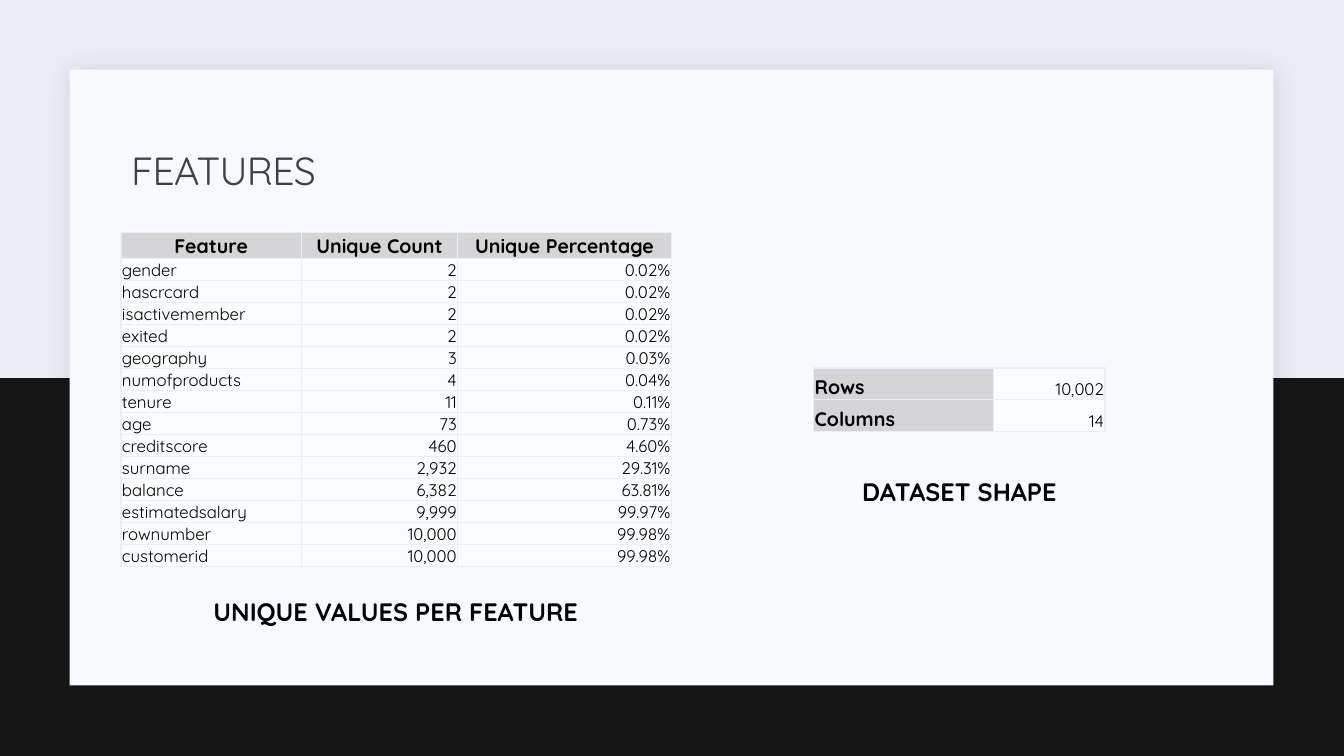
"""Build the FEATURES slide with two dataset summary tables."""
from dataclasses import dataclass

import lxml.etree
import pptx
import pptx.dml.color
import pptx.enum.shapes
import pptx.enum.text
import pptx.oxml
import pptx.oxml.ns
import pptx.util

Inches = pptx.util.Inches
Pt = pptx.util.Pt
Align = pptx.enum.text.PP_ALIGN
Anchor = pptx.enum.text.MSO_ANCHOR

FONT = "Quicksand"
COLOURS = {
    "backdrop": "ECEEF7",
    "band": "141514",
    "card": "F6F9FF",
    "shadow": "1F2125",
    "title": "404040",
    "text": "000000",
    "heading": "D5D5D7",
    "cell": "FBFCFD",
    "border": "ECEEF7",
}


@dataclass(frozen=True)
class Box:
    """Position and size in inches."""

    left: float
    top: float
    width: float
    height: float

    def lengths(self) -> list[int]:
        """Return the four lengths in slide units."""
        return [Inches(n) for n in (self.left, self.top, self.width, self.height)]


@dataclass(frozen=True)
class Panel:
    """A plain rectangle behind the content."""

    box: Box
    colour: str
    shadowed: bool = False


@dataclass(frozen=True)
class Label:
    """Text of one placeholder."""

    index: int
    box: Box
    text: str
    size: float
    colour: str
    align: Align
    bold: bool = False


@dataclass(frozen=True)
class Grid:
    """A table whose headings fill its first row or its first column."""

    box: Box
    widths: tuple[float, ...]
    rows: tuple[tuple[str, ...], ...]
    anchor: Anchor
    header_row: bool


PANELS = (
    Panel(Box(0, 3.75, 13.33, 3.75), "band"),
    Panel(Box(0.69, 0.69, 11.94, 6.11), "card", shadowed=True),
)
TITLE = Label(0, Box(1.2, 1.39, 11, 0.64), "FEATURES", 28, "title", Align.LEFT)
CAPTIONS = (
    Label(1, Box(1.2, 5.75, 5.45, 0.64), "UNIQUE VALUES PER FEATURE", 18, "text", Align.CENTER, True),
    Label(3, Box(7.42, 4.56, 4.19, 0.64), "DATASET SHAPE", 18, "text", Align.CENTER, True),
)
GRIDS = (
    Grid(
        Box(1.2, 2.31, 5.45, 3.28),
        (1.79, 1.55, 2.12),
        (
            ("Feature", "Unique Count", "Unique Percentage"),
            ("gender", "2", "0.02%"),
            ("hascrcard", "2", "0.02%"),
            ("isactivemember", "2", "0.02%"),
            ("exited", "2", "0.02%"),
            ("geography", "3", "0.03%"),
            ("numofproducts", "4", "0.04%"),
            ("tenure", "11", "0.11%"),
            ("age", "73", "0.73%"),
            ("creditscore", "460", "4.60%"),
            ("surname", "2,932", "29.31%"),
            ("balance", "6,382", "63.81%"),
            ("estimatedsalary", "9,999", "99.97%"),
            ("rownumber", "10,000", "99.98%"),
            ("customerid", "10,000", "99.98%"),
        ),
        Anchor.MIDDLE,
        header_row=True,
    ),
    Grid(
        Box(8.07, 3.65, 2.89, 0.63),
        (1.78, 1.11),
        (("Rows", "10,002"), ("Columns", "14")),
        Anchor.BOTTOM,
        header_row=False,
    ),
)


def rgb(name: str) -> pptx.dml.color.RGBColor:
    """Look up a named colour."""
    return pptx.dml.color.RGBColor.from_string(COLOURS[name])


def style_font(font, size: float, colour: str, bold: bool) -> None:
    """Apply the slide's typeface with the given size, colour and weight."""
    font.name, font.size, font.bold = FONT, Pt(size), bold
    font.color.rgb = rgb(colour)


def draw_panel(page, panel: Panel) -> None:
    """Draw a rectangle behind the placeholders."""
    shape = page.shapes.add_shape(pptx.enum.shapes.MSO_SHAPE.RECTANGLE, *panel.box.lengths())
    shape.fill.solid()
    shape.fill.fore_color.rgb = rgb(panel.colour)
    shape.line.fill.background()
    shape.shadow.inherit = False
    if panel.shadowed:
        effects = shape.element.spPr.find(pptx.oxml.ns.qn("a:effectLst"))
        effects.append(pptx.oxml.parse_xml(
            f'<a:outerShdw {pptx.oxml.ns.nsdecls("a")} blurRad="{Pt(20)}" dist="{Pt(2)}" '
            f'dir="2700000" algn="ctr" rotWithShape="0"><a:srgbClr val="{COLOURS["shadow"]}">'
            '<a:alpha val="15000"/></a:srgbClr></a:outerShdw>'
        ))
    page.shapes.title.element.addprevious(shape.element)


def fill_placeholder(page, label: Label):
    """Place and format one placeholder and return its paragraph."""
    holder = next(h for h in page.placeholders if h.placeholder_format.idx == label.index)
    holder.left, holder.top, holder.width, holder.height = label.box.lengths()
    frame = holder.text_frame
    frame.text = label.text
    frame.word_wrap = True
    frame.auto_size = pptx.enum.text.MSO_AUTO_SIZE.NONE
    frame.vertical_anchor = Anchor.MIDDLE
    para = frame.paragraphs[0]
    para.alignment = label.align
    style_font(para.font, label.size, label.colour, label.bold)
    return para


def draw_borders(cell) -> None:
    """Give a cell one-point lines on all four sides."""
    properties = cell._tc.get_or_add_tcPr()
    for side in ("lnL", "lnR", "lnT", "lnB"):
        line = lxml.etree.SubElement(properties, pptx.oxml.ns.qn(f"a:{side}"), w=str(Pt(1)))
        fill = lxml.etree.SubElement(line, pptx.oxml.ns.qn("a:solidFill"))
        lxml.etree.SubElement(fill, pptx.oxml.ns.qn("a:srgbClr"), val=COLOURS["border"])


def draw_grid(page, grid: Grid) -> None:
    """Draw a table with its headings shaded."""
    table = page.shapes.add_table(len(grid.rows), len(grid.widths), *grid.box.lengths()).table
    table.first_row = table.horz_banding = False
    for column, width in zip(table.columns, grid.widths):
        column.width = Inches(width)
    for y, row in enumerate(grid.rows):
        for x, text in enumerate(row):
            heading = (y if grid.header_row else x) == 0
            cell = table.cell(y, x)
            cell.text = text
            cell.vertical_anchor = grid.anchor
            cell.margin_left = cell.margin_right = cell.margin_top = Inches(0.01)
            cell.margin_bottom = 0
            draw_borders(cell)
            cell.fill.solid()
            cell.fill.fore_color.rgb = rgb("heading" if heading else "cell")
            para = cell.text_frame.paragraphs[0]
            para.alignment = Align.RIGHT if x else Align.LEFT
            if heading and grid.header_row:
                para.alignment = Align.CENTER
            style_font(para.font, 14 if heading else 12, "text", heading)


def main() -> None:
    """Assemble and save the deck."""
    deck = pptx.Presentation()
    deck.slide_width, deck.slide_height = Inches(13.33), Inches(7.5)
    page = deck.slides.add_slide(deck.slide_layouts.get_by_name("Comparison"))
    page.background.fill.solid()
    page.background.fill.fore_color.rgb = rgb("backdrop")
    for panel in PANELS:
        draw_panel(page, panel)
    title = fill_placeholder(page, TITLE)
    title.line_spacing = 0.9
    title.runs[0]._r.get_or_add_rPr().set("spc", "-50")
    for caption in CAPTIONS:
        para = fill_placeholder(page, caption)
        para.space_before, para.space_after = Pt(12), Pt(2)
    for holder in list(page.placeholders):
        if not holder.text_frame.text:
            holder.element.getparent().remove(holder.element)
    for grid in GRIDS:
        draw_grid(page, grid)
    deck.save("out.pptx")


if __name__ == "__main__":
    main()
